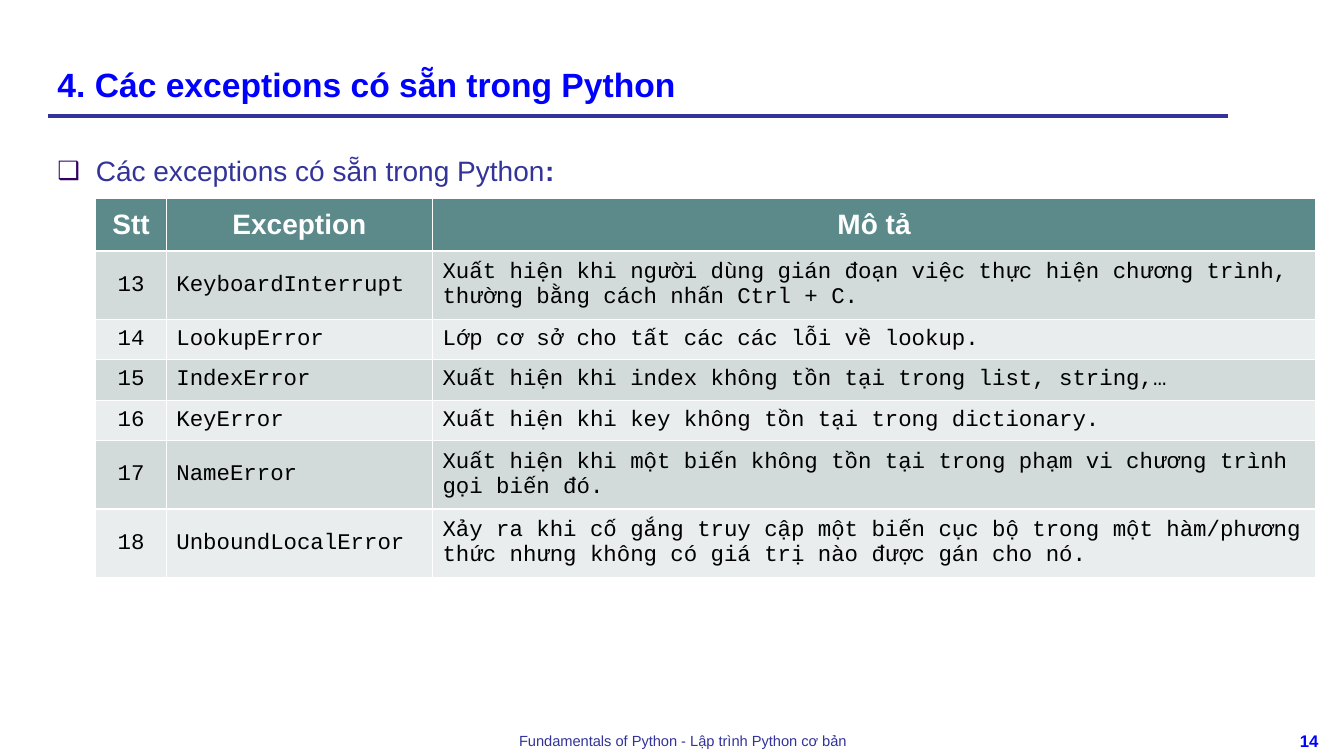
from lxml import etree
from pptx import Presentation
from pptx.dml.color import RGBColor
from pptx.enum.shapes import MSO_CONNECTOR
from pptx.enum.text import MSO_ANCHOR, MSO_AUTO_SIZE, PP_ALIGN
from pptx.oxml.ns import qn
from pptx.util import Inches, Pt

LEFT, CENTER, JUSTIFY = PP_ALIGN.LEFT, PP_ALIGN.CENTER, PP_ALIGN.JUSTIFY
TOP, MIDDLE, BOTTOM = MSO_ANCHOR.TOP, MSO_ANCHOR.MIDDLE, MSO_ANCHOR.BOTTOM

TITLE = "4. Các exceptions có sẵn trong Python"
LEAD, LEAD_END = "Các exceptions có sẵn trong Python", ":"
FOOTER = "Fundamentals of Python - Lập trình Python cơ bản"
PAGE_NUMBER = "14"
HEADER = ("Stt", "Exception", "Mô tả")
EXCEPTIONS = [
    ("13", "KeyboardInterrupt", "Xuất hiện khi người dùng gián đoạn việc thực hiện "
     "chương trình, thường bằng cách nhấn Ctrl + C."),
    ("14", "LookupError", "Lớp cơ sở cho tất các các lỗi về lookup."),
    ("15", "IndexError", "Xuất hiện khi index không tồn tại trong list, string,…"),
    ("16", "KeyError", "Xuất hiện khi key không tồn tại trong dictionary."),
    ("17", "NameError", "Xuất hiện khi một biến không tồn tại trong phạm vi "
     "chương trình gọi biến đó."),
    ("18", "UnboundLocalError", "Xảy ra khi cố gắng truy cập một biến cục bộ trong một "
     "hàm/phương thức nhưng không có giá trị nào được gán cho nó."),
]

COLORS = {"title": "0000FF", "text": "333399", "bullet": "330066", "code": "000000",
          "header_text": "FFFFFF", "header": "5C8A8A", "odd": "D2DADA", "even": "EAEDED"}
SANS, MONO = "Arial", "Courier New"

SLIDE_WIDTH, SLIDE_HEIGHT = 13.33, 7.5
MARGIN, CONTENT_WIDTH = 0.47, 11.55
RULE_LEFT, RULE_RIGHT, RULE_Y = 0.48, 12.18, 1.15
TABLE_LEFT, TABLE_TOP = 0.95, 1.97
COLUMN_WIDTHS = (0.7, 2.64, 8.76)
COLUMN_ALIGNMENTS = (CENTER, JUSTIFY, LEFT)
HEADER_HEIGHT, ONE_LINE, TWO_LINES = 0.52, 0.4, 0.68
LINE_CAPACITY = 64  # characters of code text in the widest column


def color(name):
    return RGBColor.from_string(COLORS[name])


def add_run(paragraph, text, size, color_name, font=SANS, bold=False):
    run = paragraph.add_run()
    run.text = text
    run.font.name, run.font.size, run.font.bold = font, Pt(size), bold
    run.font.color.rgb = color(color_name)


def place(shape, left, top, width, height, anchor):
    """Position a text shape and return its first paragraph."""
    shape.left, shape.top = Inches(left), Inches(top)
    shape.width, shape.height = Inches(width), Inches(height)
    frame = shape.text_frame
    frame.word_wrap, frame.auto_size = True, MSO_AUTO_SIZE.NONE
    frame.vertical_anchor = anchor
    return frame.paragraphs[0]


def add_bullet(paragraph, character, indent):
    properties = paragraph._p.get_or_add_pPr()
    properties.set("marL", str(Inches(indent)))
    properties.set("indent", str(-Inches(indent)))
    bullet_color = etree.SubElement(properties, qn("a:buClr"))
    etree.SubElement(bullet_color, qn("a:srgbClr"), val=COLORS["bullet"])
    etree.SubElement(properties, qn("a:buSzPct"), val="90000")
    etree.SubElement(properties, qn("a:buFont"), typeface=SANS)
    etree.SubElement(properties, qn("a:buChar"), char=character)


def add_rule(slide):
    rule = slide.shapes.add_connector(
        MSO_CONNECTOR.STRAIGHT, Inches(RULE_LEFT), Inches(RULE_Y),
        Inches(RULE_RIGHT), Inches(RULE_Y))
    rule.line.color.rgb = color("text")
    rule.line.width = Pt(3)
    etree.SubElement(rule._element.spPr, qn("a:effectLst"))


def add_small_text(slide, box, text, size, color_name, bold=False):
    paragraph = place(slide.shapes.add_textbox(0, 0, 0, 0), *box, TOP)
    paragraph.alignment = CENTER
    add_run(paragraph, text, size, color_name, bold=bold)


def fill_cell(cell, text, fill, alignment, **style):
    cell.fill.solid()
    cell.fill.fore_color.rgb = color(fill)
    cell.vertical_anchor = MIDDLE
    paragraph = cell.text_frame.paragraphs[0]
    paragraph.alignment = alignment
    add_run(paragraph, text, **style)


def add_exception_table(slide):
    heights = [HEADER_HEIGHT] + [
        TWO_LINES if len(description) > LINE_CAPACITY else ONE_LINE
        for _, _, description in EXCEPTIONS]
    table = slide.shapes.add_table(
        len(heights), len(HEADER), Inches(TABLE_LEFT), Inches(TABLE_TOP),
        Inches(sum(COLUMN_WIDTHS)), Inches(sum(heights))).table
    for column, width in zip(table.columns, COLUMN_WIDTHS):
        column.width = Inches(width)
    for row, height in zip(table.rows, heights):
        row.height = Inches(height)
    for column, text in enumerate(HEADER):
        fill_cell(table.cell(0, column), text, "header", CENTER,
                  size=20, color_name="header_text", bold=True)
    for row, values in enumerate(EXCEPTIONS, start=1):
        band = "odd" if row % 2 else "even"
        for column, text in enumerate(values):
            fill_cell(table.cell(row, column), text, band, COLUMN_ALIGNMENTS[column],
                      size=16, color_name="code", font=MONO)


def main():
    presentation = Presentation()
    presentation.slide_width = Inches(SLIDE_WIDTH)
    presentation.slide_height = Inches(SLIDE_HEIGHT)
    slide = presentation.slides.add_slide(presentation.slide_layouts[1])

    add_rule(slide)
    add_small_text(slide, (3.22, 7.21, 7.11, 0.29), FOOTER, 10.5, "text")
    add_small_text(slide, (12.67, 7.2, 0.63, 0.3), PAGE_NUMBER, 12, "title", bold=True)

    title = place(slide.shapes.title, MARGIN, 0.21, CONTENT_WIDTH, 0.87, BOTTOM)
    title.alignment = LEFT
    add_run(title, TITLE, 24, "title", bold=True)

    lead = place(slide.placeholders[1], MARGIN, 1.31, CONTENT_WIDTH, 5.67, TOP)
    lead.line_spacing, lead.space_before = 1.5, Pt(0)
    add_bullet(lead, "❑", 0.38)
    add_run(lead, LEAD, 20, "text")
    add_run(lead, LEAD_END, 20, "text", bold=True)

    add_exception_table(slide)
    presentation.save("out.pptx")


if __name__ == "__main__":
    main()
